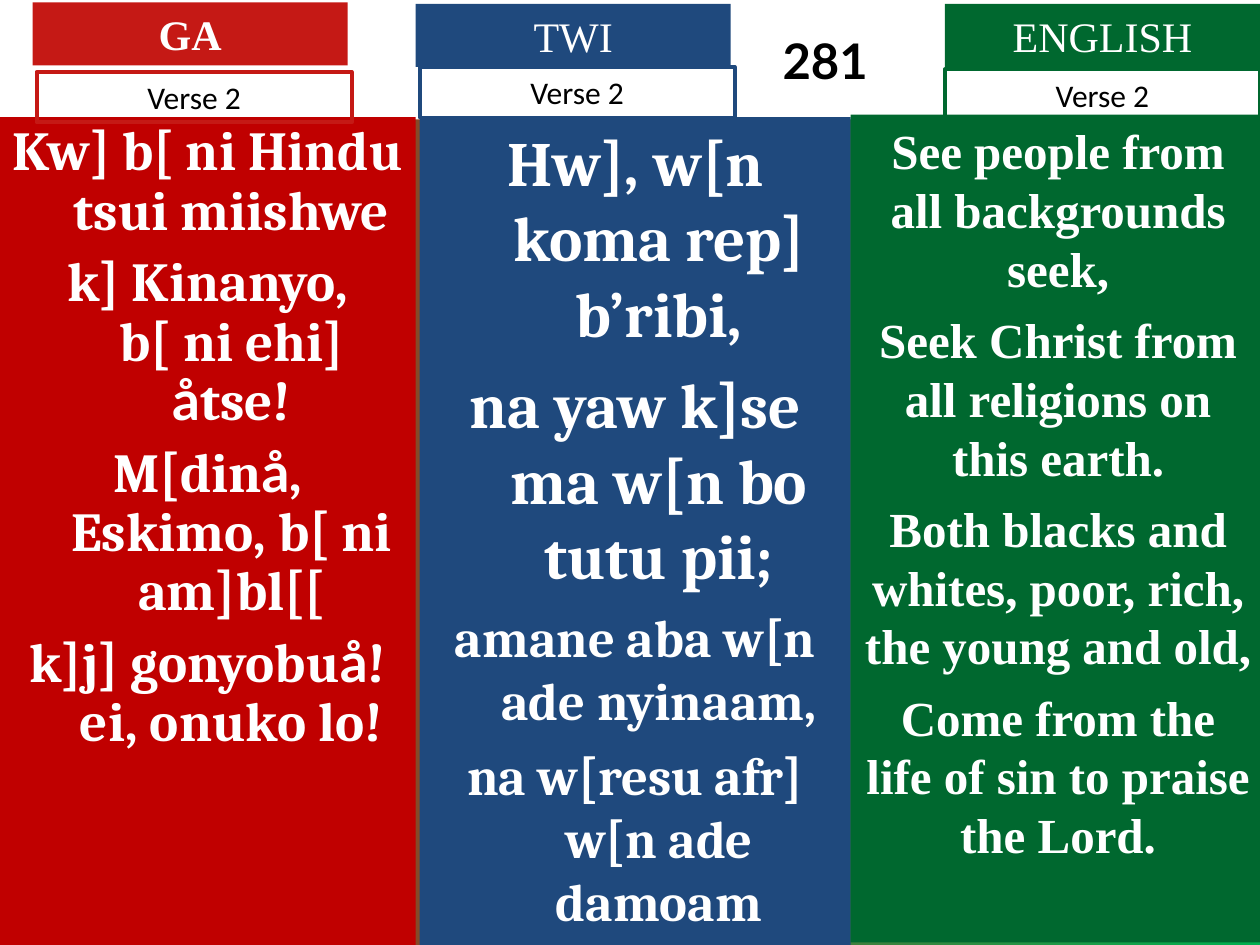
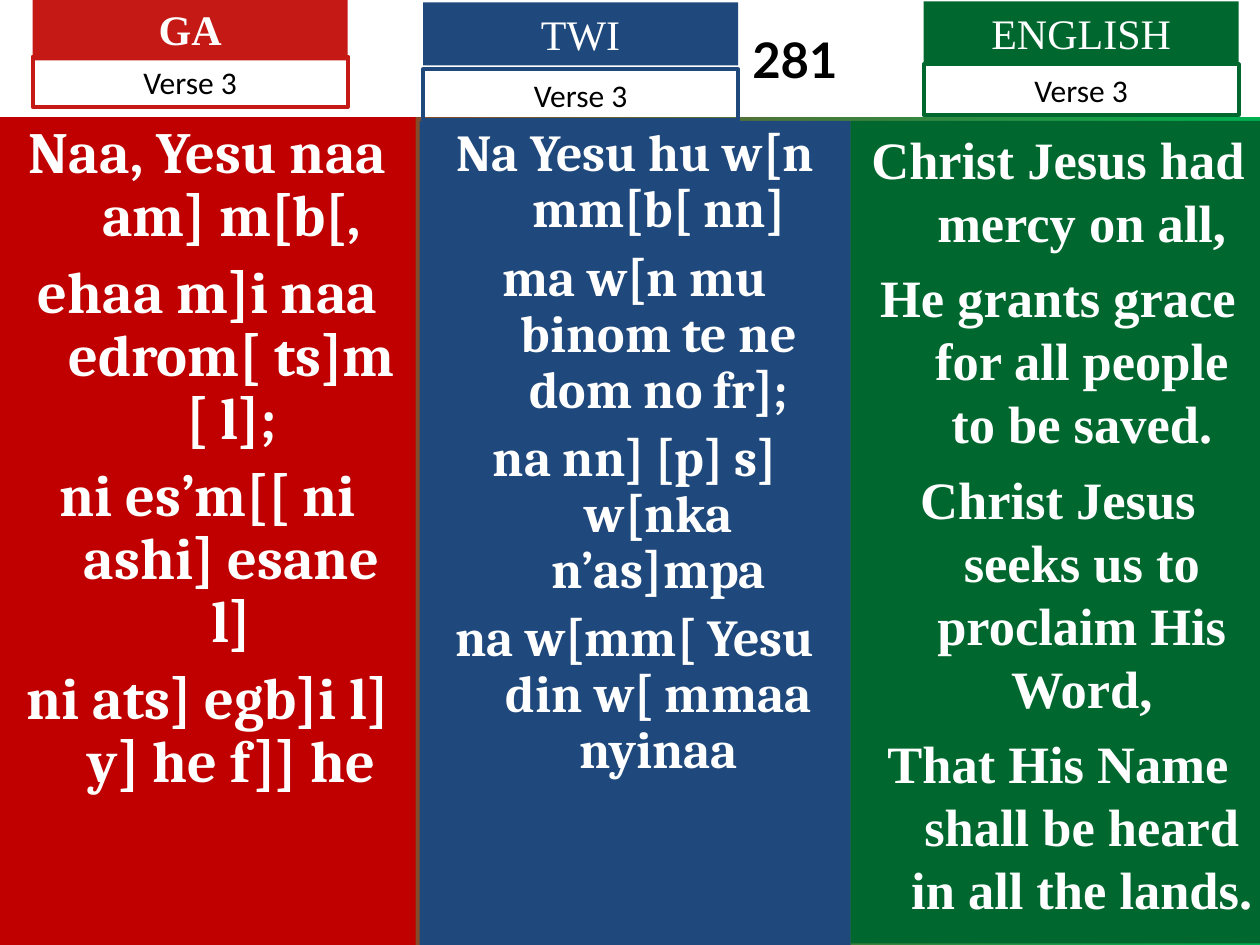
from pptx import Presentation
from pptx.dml.color import RGBColor
from pptx.enum.shapes import MSO_SHAPE
from pptx.enum.text import MSO_ANCHOR, PP_ALIGN
from pptx.util import Cm, Pt

RED = RGBColor(0xC5, 0x19, 0x15)
DARK_RED = RGBColor(0xC0, 0x00, 0x00)
BLUE = RGBColor(0x1F, 0x49, 0x7D)
GREEN = RGBColor(0x00, 0x68, 0x2F)
BRIGHT_GREEN = RGBColor(0x00, 0xB0, 0x50)
WHITE = RGBColor(0xFF, 0xFF, 0xFF)
BLACK = RGBColor(0x00, 0x00, 0x00)

SERIF, LYRICS, SANS, TITLE = "Times New Roman", "Cambria", "Calibri", "Lato"
HANGING = 0.96

# language: panel colour, label colour, panel left, panel width, lyric font, bold label
COLUMNS = {
    "GA": (DARK_RED, RED, 0, 8.38, LYRICS, True),
    "TWI": (BLUE, BLUE, 8.46, 8.69, LYRICS, False),
    "ENGLISH": (GREEN, GREEN, 17.15, 8.36, SERIF, False),
}

# Each column: label position, verse box position, panel top and bottom,
# line spacing, hanging indent, then (size, line) pairs
VERSES = [
    dict(verse="Verse 2", band=2.41, number_inset=7.87, columns={
        "GA": ((0.66, 0.05), (0.74, 1.45), (2.36, 19.05), 0.9, HANGING, [
            (31.4, "Kw] b[ ni Hindu tsui miishwe"),
            (31.4, "k] Kinanyo, b[ ni ehi] åtse!"),
            (31.4, "M[dinå, Eskimo, b[ ni am]bl[["),
            (31.4, "k]j] gonyobuå! ei, onuko lo!")]),
        "TWI": ((8.38, 0.08), (8.46, 1.35), (2.36, 19.05), 1.0, HANGING, [
            (36, "Hw], w[n koma rep] b’ribi,"),
            (36, "na yaw k]se ma w[n bo tutu pii;"),
            (30, "amane aba w[n ade nyinaam,"),
            (30, "na w[resu afr] w[n ade damoam")]),
        "ENGLISH": ((19.05, 0.08), (19.05, 1.4), (2.31, 19), 1.0, 0, [
            (28, "See people from all backgrounds seek,"),
            (28, "Seek Christ from all religions on this earth."),
            (28, "Both blacks and whites, poor, rich, the young and old,"),
            (28, "Come from the life of sin to praise the Lord.")]),
    }),
    dict(verse="Verse 3", band=2.36, number_inset=6.65, columns={
        "GA": ((0.66, -0.05), (0.66, 1.14), (2.36, 19.05), 0.9, HANGING, [
            (33.3, "Naa, Yesu naa am] m[b[,"),
            (33.3, "ehaa m]i naa edrom[ ts]m[ l];"),
            (33.3, "ni es’m[[ ni ashi] esane l]"),
            (33.3, "ni ats] egb]i l] y] he f]] he")]),
        "TWI": ((8.53, 0.05), (8.53, 1.4), (2.44, 19.05), 0.9, HANGING, [
            (29.6, "Na Yesu hu w[n mm[b[ nn]"),
            (29.6, "ma w[n mu binom te ne dom no fr];"),
            (29.6, "na nn] [p] s] w[nka n’as]mpa"),
            (29.6, "na w[mm[ Yesu din w[ mmaa nyinaa")]),
        "ENGLISH": ((18.62, 0.03), (18.62, 1.3), (2.44, 19.02), 1.0, HANGING, [
            (30, "Christ Jesus had mercy on all,"),
            (30, "He grants grace for all people to be saved."),
            (30, "Christ Jesus seeks us to proclaim His Word,"),
            (30, "That His Name shall be heard in all the lands.")]),
    }),
]


def write(p, text, font=SANS, size=18, color=BLACK, bold=False,
          line_spacing=1.0, space_before=0, hanging=0):
    """Fill a centred paragraph; the letter å is set in the title font."""
    p.alignment = PP_ALIGN.CENTER
    p.line_spacing = line_spacing
    p.space_before = Pt(space_before)
    if hanging:
        pPr = p._p.get_or_add_pPr()
        pPr.set("marL", str(Cm(hanging)))
        pPr.set("indent", str(-Cm(hanging)))
    for part in text.replace("å", "|å|").split("|"):
        if part:
            r = p.add_run()
            r.text = part
            r.font.name = TITLE if part == "å" else font
            r.font.size = Pt(size)
            r.font.bold = bold
            r.font.color.rgb = color


class HymnDeck:
    def __init__(self):
        self.prs = Presentation()
        self.prs.slide_width, self.prs.slide_height = Cm(25.4), Cm(19.05)
        self.s = None

    def new_slide(self):
        self.s = self.prs.slides.add_slide(self.prs.slide_layouts[6])
        fill = self.s.background.fill
        fill.gradient()
        fill.gradient_angle = 0
        for stop, color, position in zip(fill.gradient_stops, (RED, BRIGHT_GREEN), (0, 1)):
            stop.color.rgb = color
            stop.position = position

    def box(self, x, y, w, h, fill=None, line=None, anchor=MSO_ANCHOR.TOP):
        sp = self.s.shapes.add_shape(MSO_SHAPE.RECTANGLE, Cm(x), Cm(y), Cm(w), Cm(h))
        sp.shadow.inherit = False
        if fill is None:
            sp.fill.background()
        else:
            sp.fill.solid()
            sp.fill.fore_color.rgb = fill
        if line is None:
            sp.line.fill.background()
        else:
            sp.line.color.rgb = line
            sp.line.width = Pt(2.25)
        tf = sp.text_frame
        tf.word_wrap = True
        tf.vertical_anchor = anchor
        return tf

    def title_band(self, number, height, inset):
        tf = self.box(0, 0, 25.4, height, fill=WHITE, anchor=MSO_ANCHOR.MIDDLE)
        tf.margin_left, tf.margin_right = Cm(inset), 0
        write(tf.paragraphs[0], number, font=TITLE, size=28, bold=True)

    def lyrics(self, x, top, w, bottom, fill, lines, font, line_spacing, hanging):
        tf = self.box(x, top, w, bottom - top, fill=fill)
        for i, (size, text) in enumerate(lines):
            p = tf.add_paragraph() if i else tf.paragraphs[0]
            write(p, text, font=font, size=size, color=WHITE, bold=True,
                  line_spacing=line_spacing, hanging=hanging,
                  space_before=size // 4 if i else 0)

    def label(self, position, text, color, bold):
        tf = self.box(*position, 6.35, 1.27, fill=color)
        write(tf.paragraphs[0], text, font=SERIF, size=24, color=WHITE, bold=bold)

    def verse_box(self, position, text, color):
        tf = self.box(*position, 6.35, 1.02, line=color)
        write(tf.paragraphs[0], text)

    def column(self, language, verse, label_at, verse_at, edges, line_spacing, hanging, lines):
        panel_color, label_color, x, w, font, bold = COLUMNS[language]
        top, bottom = edges
        self.lyrics(x, top, w, bottom, panel_color, lines, font, line_spacing, hanging)
        self.label(label_at, language, label_color, bold)
        self.verse_box(verse_at, verse, label_color)


def main():
    deck = HymnDeck()
    for page in VERSES:
        deck.new_slide()
        deck.title_band("281", page["band"], page["number_inset"])
        for language, details in page["columns"].items():
            deck.column(language, page["verse"], *details)
    deck.prs.save("out.pptx")


if __name__ == "__main__":
    main()
